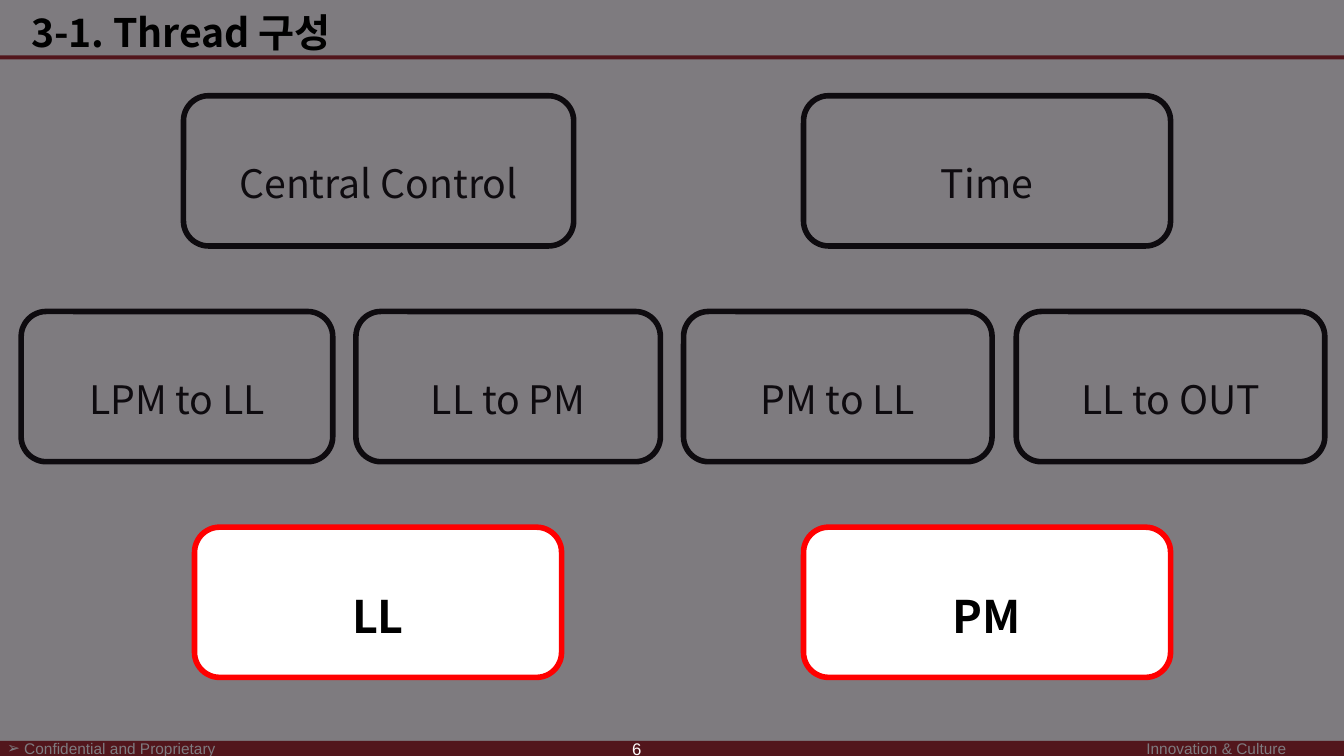
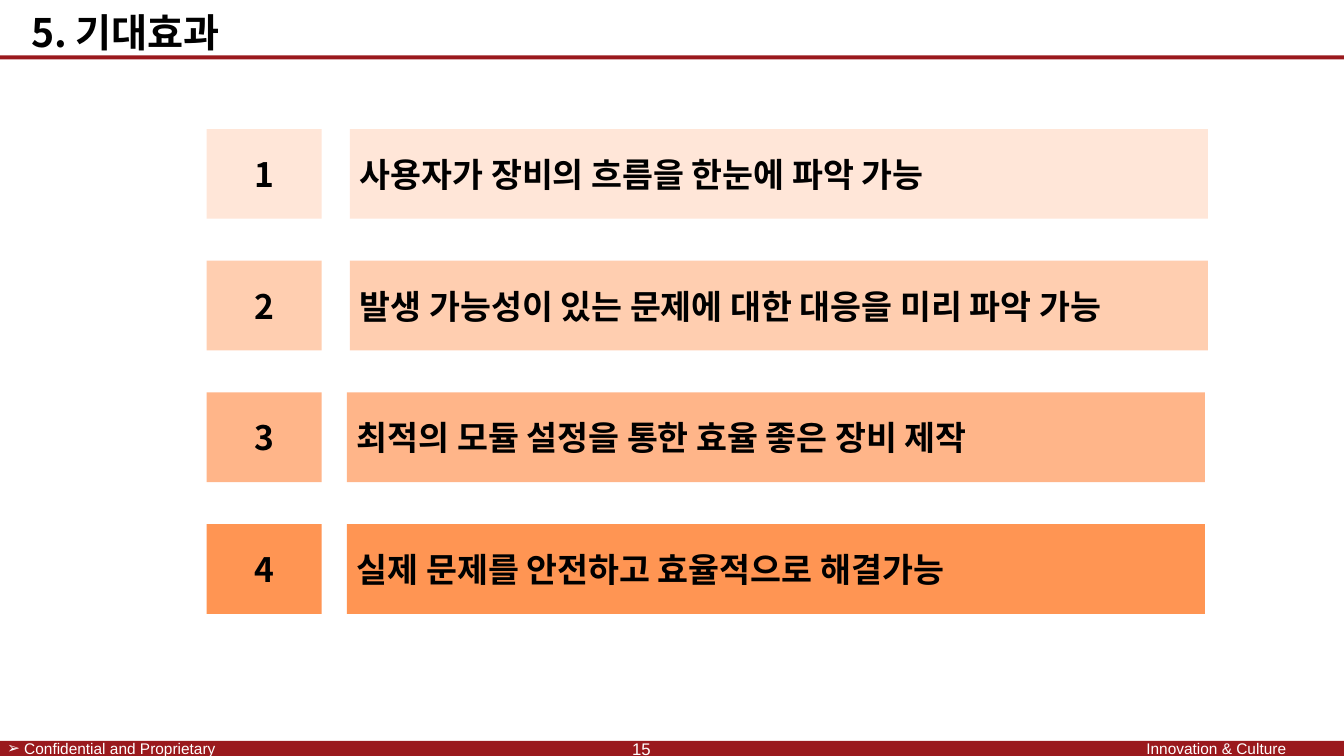
from dataclasses import dataclass
from typing import Any

from lxml.etree import SubElement
from pptx import Presentation
from pptx.dml.color import RGBColor
from pptx.enum.shapes import MSO_SHAPE
from pptx.enum.text import MSO_ANCHOR, PP_ALIGN
from pptx.oxml.ns import qn
from pptx.util import Inches, Pt

SLIDE_WIDTH, SLIDE_HEIGHT = 13.33, 7.5
BRAND, BLACK, WHITE, RED, VEIL = "9A191D", "000000", "FFFFFF", "FF0000", "1A141C"
KOREAN, LATIN = "Noto Sans CJK KR", "Arial"
FOOTER_MARGINS = {
    "margin_left": Inches(0.07),
    "margin_top": Inches(0.01),
    "margin_bottom": Inches(0.01),
}


@dataclass(frozen=True)
class Frame:
    left: float
    top: float
    width: float
    height: float


@dataclass(frozen=True)
class TextStyle:
    size: float
    bold: bool = False
    font: str = KOREAN
    color: str = BLACK
    align: PP_ALIGN = PP_ALIGN.LEFT
    spacing: float = 1.0


@dataclass(frozen=True)
class ThreadBox:
    label: str
    left: float
    top: float
    width: float


@dataclass(frozen=True)
class Effect:
    text: str
    color: str
    left: float


TITLE = TextStyle(28, True)
FOOTER = TextStyle(11, font=LATIN, color=WHITE)
PAGE_NUMBER = TextStyle(12, font=LATIN, color=WHITE)
THREAD = TextStyle(28, align=PP_ALIGN.CENTER, spacing=1.5)
ACTIVE_THREAD = TextStyle(32, True, align=PP_ALIGN.CENTER, spacing=1.5)
EFFECT = TextStyle(24, True)
EFFECT_NUMBER = TextStyle(24, True, align=PP_ALIGN.CENTER)

THREADS = [
    ThreadBox("Central Control", 1.82, 0.95, 3.87),
    ThreadBox("Time", 7.97, 0.95, 3.64),
    ThreadBox("LPM to LL", 0.21, 3.09, 3.09),
    ThreadBox("LL to PM", 3.53, 3.09, 3.02),
    ThreadBox("PM to LL", 6.78, 3.09, 3.06),
    ThreadBox("LL to OUT", 10.08, 3.09, 3.06),
]
ACTIVE_THREADS = [
    ThreadBox("LL", 1.93, 5.23, 3.64),
    ThreadBox("PM", 7.97, 5.23, 3.64),
]
EFFECTS = [
    Effect("사용자가 장비의 흐름을 한눈에 파악 가능", "FFE6D8", 3.47),
    Effect("발생 가능성이 있는 문제에 대한 대응을 미리 파악 가능", "FFCEB0", 3.47),
    Effect("최적의 모듈 설정을 통한 효율 좋은 장비 제작", "FFB589", 3.44),
    Effect("실제 문제를 안전하고 효율적으로 해결가능", "FF9553", 3.44),
]


def rgb(color: str) -> RGBColor:
    return RGBColor.from_string(color)


def apply(target: Any, values: dict[str, Any]) -> None:
    for name, value in values.items():
        setattr(target, name, value)


def lengths(frame: Frame) -> tuple:
    return tuple(map(Inches, (frame.left, frame.top, frame.width, frame.height)))


def write(box: Any, text: str, style: TextStyle) -> Any:
    box.text_frame.word_wrap = True
    para = box.text_frame.paragraphs[0]
    apply(para, {"alignment": style.align, "line_spacing": style.spacing})
    span = para.add_run()
    span.text = text
    apply(span.font, {"name": style.font, "size": Pt(style.size), "bold": style.bold})
    span.font.color.rgb = rgb(style.color)
    SubElement(span.font._element, qn("a:ea"), typeface=style.font)
    return para


def add_text(page: Any, frame: Frame, text: str, style: TextStyle,
             margins: dict[str, Any] | None = None) -> Any:
    box = page.shapes.add_textbox(*lengths(frame))
    apply(box.text_frame, margins or {})
    return write(box, text, style)


def add_block(page: Any, frame: Frame, fill: str, line: str | None = None,
              preset: MSO_SHAPE = MSO_SHAPE.RECTANGLE) -> Any:
    box = page.shapes.add_shape(preset, *lengths(frame))
    box.shadow.inherit = False
    box.fill.solid()
    box.fill.fore_color.rgb = rgb(fill)
    box.text_frame.vertical_anchor = MSO_ANCHOR.MIDDLE
    if line:
        box.line.color.rgb = rgb(line)
        box.line.width = Pt(4)
    else:
        box.line.fill.background()
    return box


def add_bullet(para: Any, symbol: str, indent: float) -> None:
    properties = para._p.get_or_add_pPr()
    properties.set("marL", str(Inches(indent)))
    properties.set("indent", str(-Inches(indent)))
    SubElement(properties, qn("a:buFont"), typeface=LATIN)
    SubElement(properties, qn("a:buChar"), char=symbol)


def add_page(deck: Any) -> Any:
    page = deck.slides.add_slide(deck.slide_layouts[6])
    add_block(page, Frame(0, 7.35, SLIDE_WIDTH, 0.15), BRAND)
    add_block(page, Frame(0, 0.55, SLIDE_WIDTH, 0.04), BRAND)
    notice = add_text(page, Frame(0, 7.32, 8.25, 0.18),
                      "Confidential and Proprietary", FOOTER, FOOTER_MARGINS)
    add_bullet(notice, "➢", 0.17)
    add_text(page, Frame(11.3, 7.32, 2, 0.18),
             "Innovation & Culture", FOOTER, FOOTER_MARGINS)
    return page


def add_heading(page: Any, title: str, number: int) -> None:
    add_text(page, Frame(6.17, 7.28, 2.89, 0.22), str(number), PAGE_NUMBER)
    add_text(page, Frame(0.21, 0.03, 10, 0.56), title, TITLE)


def add_threads(page: Any, threads: list[ThreadBox], line: str, style: TextStyle) -> None:
    for thread in threads:
        frame = Frame(thread.left, thread.top, thread.width, 1.49)
        box = add_block(page, frame, WHITE, line, MSO_SHAPE.ROUNDED_RECTANGLE)
        write(box, thread.label, style)


def add_veil(page: Any) -> None:
    veil = add_block(page, Frame(0, 0, SLIDE_WIDTH, SLIDE_HEIGHT), VEIL)
    color = veil.fill._xPr.find(qn("a:solidFill"))[0]
    SubElement(color, qn("a:alpha"), val="56000")


def build_threads(deck: Any) -> None:
    page = add_page(deck)
    add_threads(page, THREADS, BLACK, THREAD)
    add_veil(page)
    add_threads(page, ACTIVE_THREADS, RED, ACTIVE_THREAD)
    add_heading(page, "3-1. Thread 구성", 6)


def build_effects(deck: Any) -> None:
    page = add_page(deck)
    add_heading(page, "5. 기대효과", 15)
    first, last, height = 1.28, 5.2, 0.89
    pitch = (last - first) / (len(EFFECTS) - 1)
    for index, effect in enumerate(EFFECTS):
        top = first + index * pitch
        badge = add_block(page, Frame(2.05, top, 1.14, height), effect.color)
        write(badge, str(index + 1), EFFECT_NUMBER)
        bar = add_block(page, Frame(effect.left, top, 8.51, height), effect.color)
        write(bar, effect.text, EFFECT)


def main() -> None:
    deck = Presentation()
    apply(deck, {"slide_width": Inches(SLIDE_WIDTH), "slide_height": Inches(SLIDE_HEIGHT)})
    build_threads(deck)
    build_effects(deck)
    deck.save("out.pptx")


if __name__ == "__main__":
    main()
